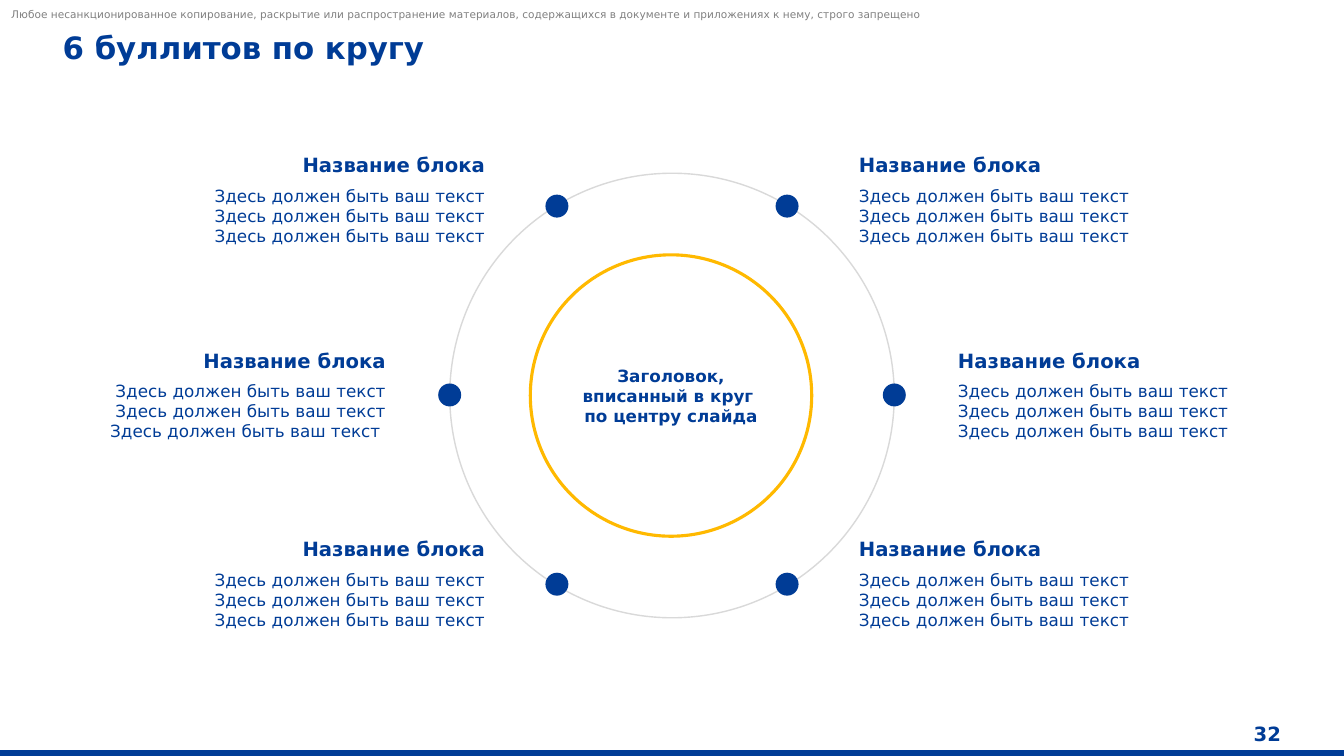
import pptx
import pptx.util
import pptx.dml.color
import pptx.enum.shapes
import pptx.enum.text

Pt = pptx.util.Pt
RGBColor = pptx.dml.color.RGBColor
MSO_SHAPE = pptx.enum.shapes.MSO_SHAPE
ALIGN = pptx.enum.text.PP_ALIGN
ANCHOR = pptx.enum.text.MSO_ANCHOR

BLUE = RGBColor(0x00, 0x3C, 0x96)
YELLOW = RGBColor(0xFF, 0xB9, 0x00)
LIGHT_GRAY = RGBColor(0xD9, 0xD9, 0xD9)
GRAY = RGBColor(0x80, 0x80, 0x80)

CENTER_X, CENTER_Y = 480, 282.5
LINE = "Здесь должен быть ваш текст"


class SlideBuilder:
    font = "DejaVu Sans"

    def __init__(self, slide):
        self.shapes = slide.shapes

    def set_text(self, sp, paragraphs, align=ALIGN.LEFT, anchor=ANCHOR.MIDDLE,
                 color=BLUE, space_after=0):
        """Fill a shape with (text, size, bold) paragraphs."""
        tf = sp.text_frame
        tf.word_wrap = True
        tf.vertical_anchor = anchor
        tf.margin_left = tf.margin_right = tf.margin_top = tf.margin_bottom = 0
        for i, (text, size, bold) in enumerate(paragraphs):
            p = tf.add_paragraph() if i else tf.paragraphs[0]
            p.text = text
            p.alignment = align
            p.space_after = Pt(space_after)
            p.font.name = self.font
            p.font.size = Pt(size)
            p.font.bold = bold
            p.font.color.rgb = color

    def text(self, x, y, w, h, paragraphs, **style):
        sp = self.shapes.add_textbox(Pt(x), Pt(y), Pt(w), Pt(h))
        self.set_text(sp, paragraphs, **style)

    def shape(self, kind, x, y, w, h, fill=None, line=None, weight=1):
        sp = self.shapes.add_shape(kind, Pt(x), Pt(y), Pt(w), Pt(h))
        sp.shadow.inherit = False
        if fill is None:
            sp.fill.background()
        else:
            sp.fill.solid()
            sp.fill.fore_color.rgb = fill
        if line is None:
            sp.line.fill.background()
        else:
            sp.line.color.rgb = line
            sp.line.width = Pt(weight)
        return sp

    def circle(self, cx, cy, d, **style):
        return self.shape(MSO_SHAPE.OVAL, cx - d / 2, cy - d / 2, d, d, **style)

    def block(self, side, offset, y, body):
        """Place a text block left (-1) or right (1) of the ring."""
        w = 229.5
        x = CENTER_X + offset if side > 0 else CENTER_X - offset - w
        self.text(x, y, w, 67.7, [("Название блока", 14, True), (body, 12, False)],
                  align=ALIGN.LEFT if side > 0 else ALIGN.RIGHT, space_after=6)


def main():
    prs = pptx.Presentation()
    prs.slide_width, prs.slide_height = Pt(960), Pt(540)
    s = SlideBuilder(prs.slides.add_slide(prs.slide_layouts[6]))

    s.shape(MSO_SHAPE.RECTANGLE, 0, 536.4, 960, 3.6, fill=BLUE, line=BLUE)
    s.text(8, 5, 826.5, 9.4, [(
        "Любое несанкционированное копирование, раскрытие или распространение "
        "материалов, содержащихся в документе и приложениях к нему, строго запрещено",
        7.5, False)], anchor=ANCHOR.BOTTOM, color=GRAY)
    s.text(44.8, 20.2, 788, 26.6, [("6 буллитов по кругу", 22, True)],
           anchor=ANCHOR.TOP)
    s.text(874, 515.5, 41, 17.3, [("32", 14, True)], align=ALIGN.RIGHT)

    s.circle(CENTER_X, CENTER_Y, 317.5, line=LIGHT_GRAY)
    hub = s.circle(479.3, CENTER_Y, 201, line=YELLOW, weight=2.25)
    s.set_text(hub, [("Заголовок, вписанный в круг \nпо центру слайда", 12, True)],
               align=ALIGN.CENTER)

    # Each row: block top, block offset, dot centre y, dot offset, left text ending
    rows = [(108.7, 133.5, 147.2, 82.2, ""),
            (248.4, 204.3, 282.1, 158.8, " "),
            (383, 133.5, 417.3, 82.2, "")]
    body = "\n".join([LINE] * 3)
    for top, block_offset, dot_y, dot_offset, left_end in rows:
        for side, end in ((-1, left_end), (1, "")):
            s.block(side, block_offset, top, body + end)
            s.circle(CENTER_X + side * dot_offset, dot_y, 16.4, fill=BLUE)

    prs.save("out.pptx")


if __name__ == "__main__":
    main()
